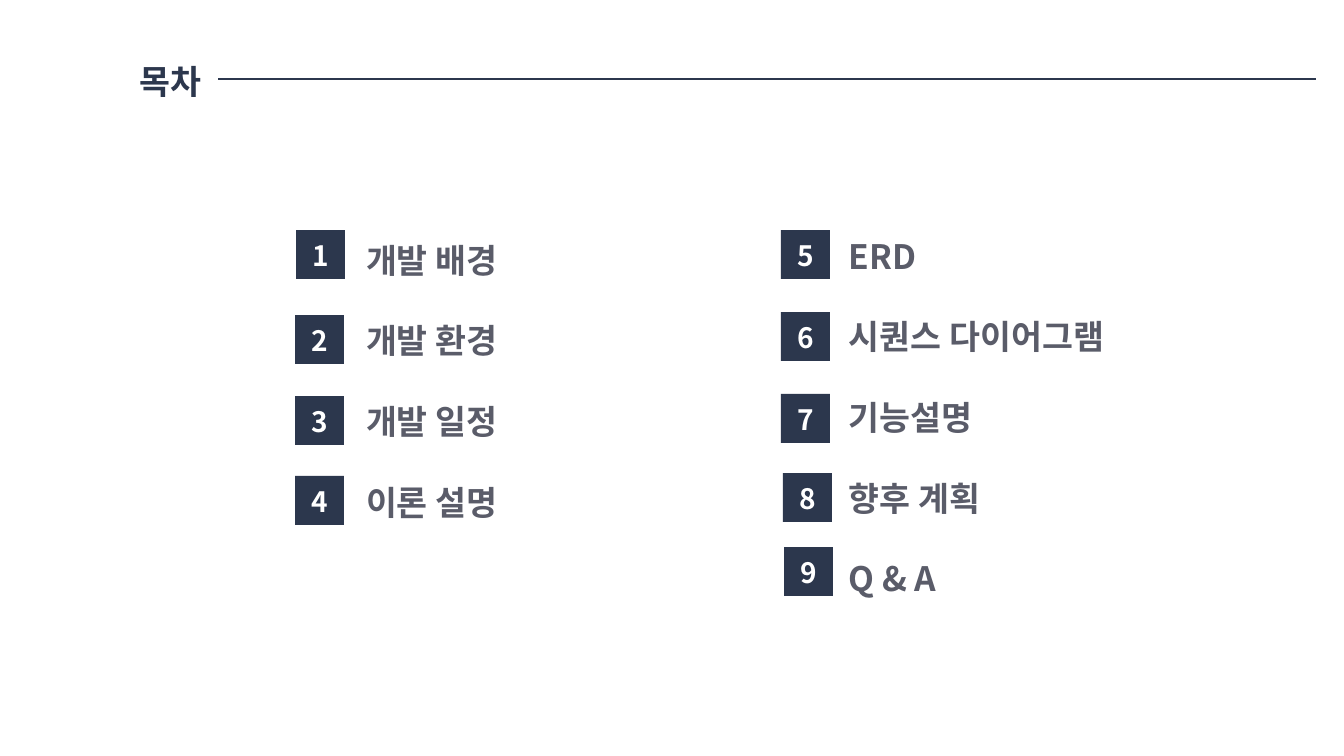
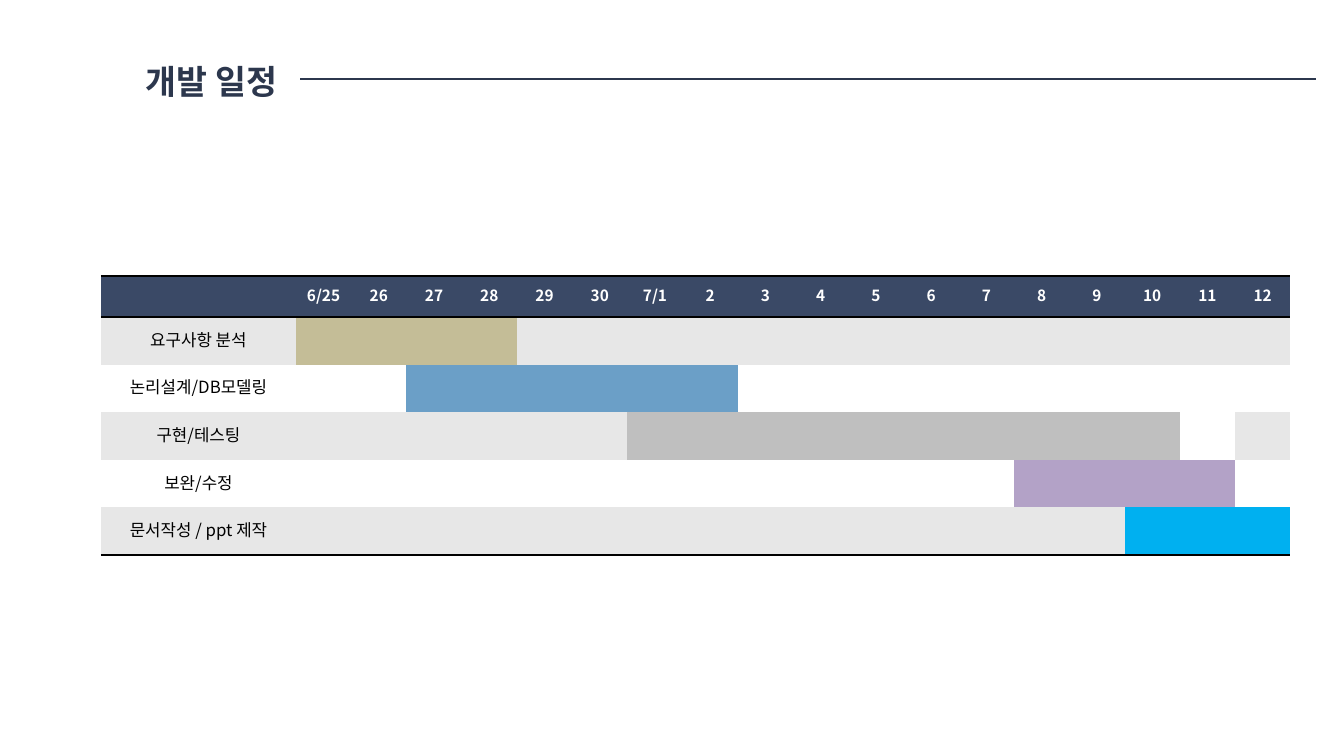
from lxml.etree import SubElement
from pptx import Presentation
from pptx.dml.color import RGBColor
from pptx.enum.shapes import MSO_CONNECTOR, MSO_SHAPE
from pptx.enum.text import MSO_ANCHOR, MSO_AUTO_SIZE, PP_ALIGN
from pptx.oxml.ns import qn
from pptx.util import Emu, Pt

FONT = "Noto Sans CJK KR"
COLORS = {
    "navy": "2C374D", "slate": "3A4966", "gray": "5A5C69",
    "white": "FFFFFF", "black": "000000", "band": "E7E7E7",
    "sand": "C4BD97", "blue": "6B9FC7", "silver": "BFBFBF",
    "violet": "B3A2C7", "cyan": "00B0F0",
}
LINE_RATIO = 1.25
TITLE_LEFT, TITLE_TOP, TITLE_HEIGHT = 123, 54, 50
RULE_RIGHT = 1316
BADGE = 49
ITEM_PITCH = Pt(57.6)

# Each item: text, left and top of its number badge
AGENDA = [
    ((366, 238, 413, 285), [
        ("개발 배경", 296, 230), ("개발 환경", 295, 315),
        ("개발 일정", 295, 396), ("이론 설명", 295, 476)]),
    ((849, 234, 413, 383), [
        ("ERD", 781, 230), ("시퀀스 다이어그램", 781, 312),
        ("기능설명", 781, 394), ("향후 계획", 783, 473),
        ("Q & A", 784, 547)]),
]

DAYS = ["6/25", "26", "27", "28", "29", "30", "7/1"] + [str(d) for d in range(2, 13)]
# Each task: label, spans of (first day, last day, colour)
TASKS = [
    ("요구사항 분석", [("6/25", "28", "sand")]),
    ("논리설계/DB모델링", [("27", "2", "blue")]),
    ("구현/테스팅", [("7/1", "10", "silver"), ("11", "11", "white")]),
    ("보완/수정", [("8", "11", "violet")]),
    ("문서작성 / ppt 제작", [("10", "12", "cyan")]),
]


def px(n):
    return Emu(round(n * 914400 / 100.8))


def rgb(name):
    return RGBColor.from_string(COLORS[name])


def add_run(p, text, size, color, bold=True, align=PP_ALIGN.CENTER):
    p.alignment = align
    p.line_spacing = Pt(size * LINE_RATIO)
    r = p.add_run()
    r.text = text
    r.font.size = Pt(size)
    r.font.bold = bold
    r.font.color.rgb = rgb(color)
    r.font.name = FONT
    SubElement(r.font._element, qn("a:ea"), typeface=FONT)
    return r


def solid_line(parent, tag, width, color, alpha=None):
    """Add a line element as the first child of parent."""
    ln = SubElement(parent, qn(tag), w=str(Pt(width)))
    clr = SubElement(SubElement(ln, qn("a:solidFill")), qn("a:srgbClr"), val=COLORS[color])
    if alpha is not None:
        SubElement(clr, qn("a:alpha"), val=str(alpha * 1000))
    SubElement(ln, qn("a:prstDash"), val="solid")
    parent.insert(0, ln)


def add_titled_slide(prs, title, width):
    """Add a slide with its title and the rule running to the right of it."""
    s = prs.slides.add_slide(prs.slide_layouts[5])
    sp = s.shapes.title
    sp.left, sp.top = px(TITLE_LEFT), px(TITLE_TOP)
    sp.width, sp.height = px(width), px(TITLE_HEIGHT)
    tf = sp.text_frame
    tf.auto_size = MSO_AUTO_SIZE.NONE
    tf.word_wrap = True
    tf.vertical_anchor = MSO_ANCHOR.TOP
    r = add_run(tf.paragraphs[0], title, 24, "navy")
    solid_line(r.font._element, "a:ln", 0.75, "slate", 30)

    middle = px(TITLE_TOP + TITLE_HEIGHT // 2)
    rule = s.shapes.add_connector(MSO_CONNECTOR.STRAIGHT, px(RULE_RIGHT), middle,
                                  px(TITLE_LEFT + width), middle)
    rule.end_connect(sp, 3)
    rule.line.color.rgb = rgb("navy")
    rule.line.width = Pt(1.25)
    SubElement(rule._element.spPr, qn("a:effectLst"))
    return s


def add_badge(s, number, left, top):
    sp = s.shapes.add_shape(MSO_SHAPE.RECTANGLE, px(left), px(top), px(BADGE), px(BADGE))
    sp.shadow.inherit = False
    sp.fill.solid()
    sp.fill.fore_color.rgb = rgb("navy")
    sp.line.fill.background()
    sp.text_frame.vertical_anchor = MSO_ANCHOR.MIDDLE
    add_run(sp.text_frame.paragraphs[0], str(number), 20, "white")


def add_agenda_column(s, box, items, first):
    tf = s.shapes.add_textbox(*map(px, box)).text_frame
    tf.word_wrap = True
    tf.margin_left = tf.margin_top = tf.margin_right = tf.margin_bottom = 0
    for i, (text, left, top) in enumerate(items):
        p = tf.add_paragraph() if i else tf.paragraphs[0]
        add_run(p, text, 24, "gray", align=PP_ALIGN.LEFT)
        if i:
            p.space_before = ITEM_PITCH - p.line_spacing
        add_badge(s, first + i, left, top)


def fill_cell(cell, fill, text="", size=12, color="black", bold=False, borders=()):
    cell.fill.solid()
    cell.fill.fore_color.rgb = rgb(fill)
    cell.vertical_anchor = MSO_ANCHOR.MIDDLE
    if text:
        add_run(cell.text_frame.paragraphs[0], text, size, color, bold)
    for tag in borders:
        solid_line(cell._tc.get_or_add_tcPr(), tag, 2, "black")


def add_schedule(s, box, label_width, header_height):
    left, top, width, height = box
    frame = s.shapes.add_table(len(TASKS) + 1, len(DAYS) + 1, *map(px, box))
    table = frame.table
    table.horz_banding = False
    style = table._tbl.tblPr.find(qn("a:tableStyleId"))
    style.text = "{2D5ABB26-0587-4C30-8999-92F81FD0307C}"

    for i, col in enumerate(table.columns):
        col.width = px(width - label_width) // len(DAYS) if i else px(label_width)
    for i, row in enumerate(table.rows):
        row.height = px(height - header_height) // len(TASKS) if i else px(header_height)

    for c, day in enumerate([""] + DAYS):
        fill_cell(table.cell(0, c), "slate", day, 11, "white", True, ("a:lnB", "a:lnT"))
    for i, (label, spans) in enumerate(TASKS):
        fills = ["white" if i % 2 else "band"] * (len(DAYS) + 1)
        for first, last, color in spans:
            for c in range(DAYS.index(first), DAYS.index(last) + 1):
                fills[c + 1] = color
        borders = ("a:lnB",) if i == len(TASKS) - 1 else ()
        for c, fill in enumerate(fills):
            fill_cell(table.cell(i + 1, c), fill, "" if c else label, borders=borders)


def build_agenda(prs):
    s = add_titled_slide(prs, "목차", 95)
    first = 1
    for box, items in AGENDA:
        add_agenda_column(s, box, items, first)
        first += len(items)


def build_schedule(prs):
    s = add_titled_slide(prs, "개발 일정", 177)
    add_schedule(s, (101, 276, 1190, 279), label_width=195, header_height=41)


def main():
    prs = Presentation()
    prs.slide_width, prs.slide_height = px(1344), px(756)
    build_agenda(prs)
    build_schedule(prs)
    prs.save("out.pptx")


if __name__ == "__main__":
    main()
